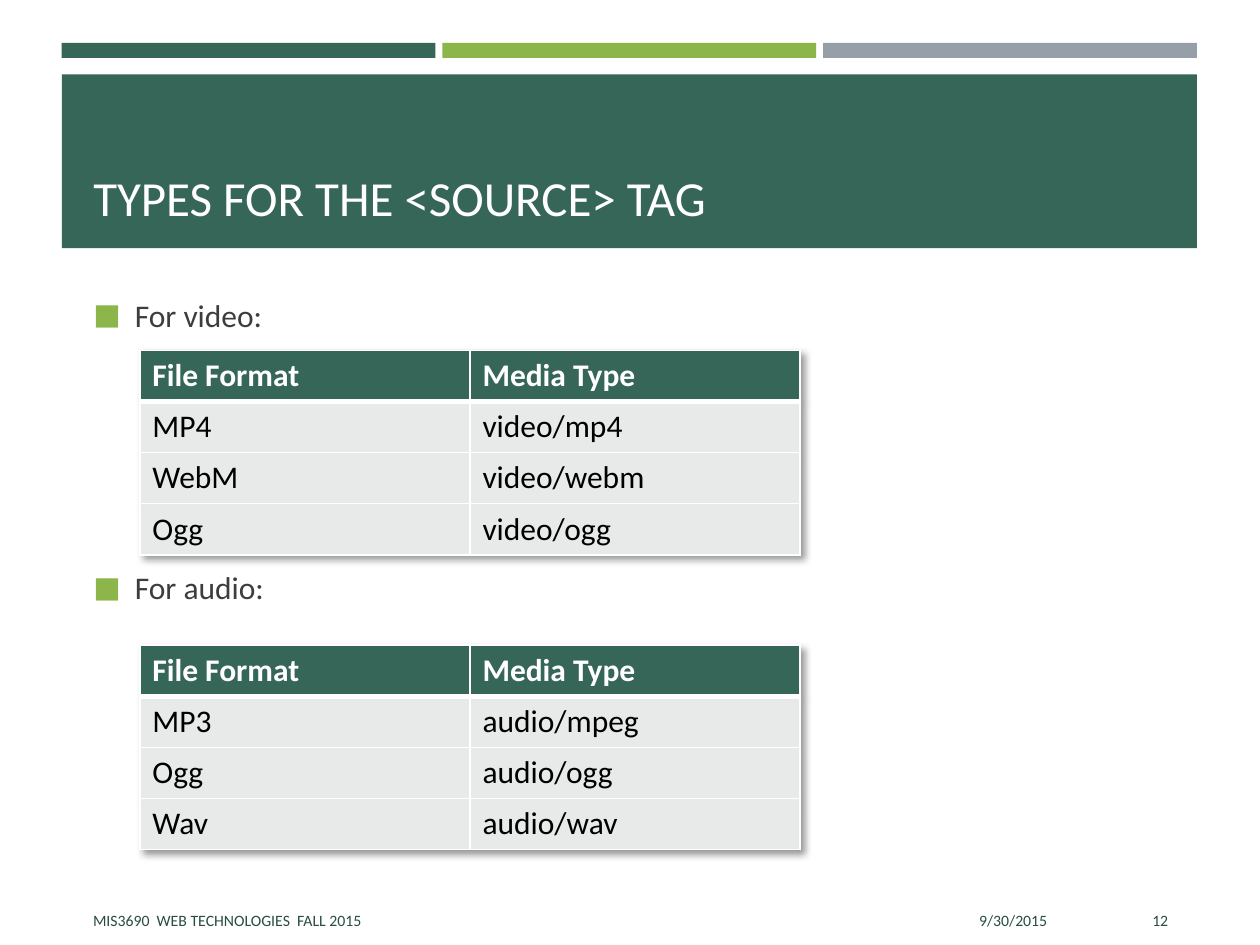
from lxml import etree
from pptx import Presentation, util as u
from pptx.dml.color import RGBColor
from pptx.enum import shapes, text
from pptx.oxml import parse_xml
from pptx.oxml.ns import nsdecls, qn

GREEN = RGBColor(0x36, 0x66, 0x58)
LIME = RGBColor(0x8C, 0xB6, 0x4A)
GRAY = RGBColor(0x96, 0x9F, 0xA7)
PALE = RGBColor(0xE8, 0xEA, 0xEA)
WHITE = RGBColor(0xFF, 0xFF, 0xFF)
BLACK = RGBColor(0, 0, 0)
BODY = RGBColor(0x3D, 0x3D, 0x3D)
FOOTER = RGBColor(0x28, 0x4D, 0x42)


class Deck:
    font = "Calibri"
    columns, rows = 100, 75

    def __init__(self):
        self.prs = Presentation()
        self.prs.slide_width, self.prs.slide_height = u.Inches(10), u.Inches(7.5)
        self.s = self.prs.slides.add_slide(self.prs.slide_layouts[1])

    def box(self, x, y, w, h):
        cw = self.prs.slide_width / self.columns
        rh = self.prs.slide_height / self.rows
        return [u.Emu(round(v)) for v in (x * cw, y * rh, w * cw, h * rh)]

    def place(self, sp, at):
        sp.left, sp.top, sp.width, sp.height = self.box(*at)

    def style(self, p, size, color, bold=False):
        for r in p.runs:
            r.font.name, r.font.size, r.font.bold = self.font, u.Pt(size), bold
            r.font.color.rgb = color

    def bar(self, at, color):
        sp = self.s.shapes.add_shape(shapes.MSO_SHAPE.RECTANGLE, *self.box(*at))
        sp.shadow.inherit = False
        sp.fill.solid()
        sp.fill.fore_color.rgb = color
        sp.line.fill.background()
        sp.element.getparent().insert(2, sp.element)

    def title(self, at, words):
        sp = self.s.shapes.title
        self.place(sp, at)
        tf = sp.text_frame
        tf.text = words
        tf.auto_size = text.MSO_AUTO_SIZE.NONE
        tf.vertical_anchor = text.MSO_ANCHOR.BOTTOM
        tf.paragraphs[0].alignment = text.PP_ALIGN.LEFT
        self.style(tf.paragraphs[0], 28, WHITE)

    def bullets(self, at, lines, gap):
        sp = self.s.placeholders[1]
        self.place(sp, at)
        tf = sp.text_frame
        tf.text = "\n".join(lines)
        tf.auto_size = text.MSO_AUTO_SIZE.NONE
        for i, p in enumerate(tf.paragraphs):
            p.space_before, p.space_after = u.Pt(gap if i else 0), u.Pt(6)
            self.style(p, 18, BODY)
            pPr = p._p.get_or_add_pPr()
            pPr.set("marL", str(u.Inches(0.33)))
            pPr.set("indent", str(-u.Inches(0.33)))
            color = etree.SubElement(pPr, qn("a:buClr"))
            etree.SubElement(color, qn("a:srgbClr"), val=str(LIME))
            etree.SubElement(pPr, qn("a:buSzPct"), val="92000")
            etree.SubElement(pPr, qn("a:buFont"), typeface=self.font)
            etree.SubElement(pPr, qn("a:buChar"), char="■")

    def label(self, at, words, align):
        tf = self.s.shapes.add_textbox(*self.box(*at)).text_frame
        tf.word_wrap = True
        tf.vertical_anchor = text.MSO_ANCHOR.MIDDLE
        tf.text = words
        tf.paragraphs[0].alignment = align
        self.style(tf.paragraphs[0], 9, FOOTER)

    def borders(self, cell, top, bottom):
        tcPr = cell._tc.get_or_add_tcPr()
        for side, width in (("L", 1), ("R", 1), ("T", top), ("B", bottom)):
            ln = etree.SubElement(tcPr, qn("a:ln" + side), w=str(u.Pt(width)))
            fill = etree.SubElement(ln, qn("a:solidFill"))
            etree.SubElement(fill, qn("a:srgbClr"), val=str(WHITE))

    def table(self, at, data):
        shape = self.s.shapes.add_table(len(data), len(data[0]), *self.box(*at))
        table = shape.table
        table._tbl.tblPr.insert(0, parse_xml(
            f'<a:effectLst {nsdecls("a")}><a:outerShdw blurRad="50800" dist="38100" '
            'dir="2700000" algn="tl" rotWithShape="0"><a:prstClr val="black">'
            '<a:alpha val="40000"/></a:prstClr></a:outerShdw></a:effectLst>'))
        for i, row in enumerate(data):
            header = i == 0
            for j, words in enumerate(row):
                cell = table.cell(i, j)
                cell.text = words
                cell.vertical_anchor = text.MSO_ANCHOR.MIDDLE
                self.borders(cell, 3 if i == 1 else 1, 3 if header else 1)
                cell.fill.solid()
                cell.fill.fore_color.rgb = GREEN if header else PALE
                self.style(cell.text_frame.paragraphs[0], 18,
                           WHITE if header else BLACK, header)


def main():
    d = Deck()
    for i, color in enumerate((GREEN, LIME, GRAY)):
        d.bar((4.9 + i * 30.22, 3.4, 29.66, 1.2), color)
    d.bar((4.9, 5.9, 90.1, 13.8), GREEN)
    d.title((6.4, 6.7, 87.4, 11.8), "TYPES FOR THE <SOURCE> TAG")
    d.bullets((6.4, 23, 87.4, 46.2), ["For video:", "For audio:"], gap=128)

    head = ("File Format", "Media Type")
    video = [head, ("MP4", "video/mp4"), ("WebM", "video/webm"), ("Ogg", "video/ogg")]
    audio = [head, ("MP3", "audio/mpeg"), ("Ogg", "audio/ogg"), ("Wav", "audio/wav")]
    for y, data in ((51.2, audio), (27.8, video)):
        d.table((11.1, y, 52.4, 16.25), data)

    left, right = text.PP_ALIGN.LEFT, text.PP_ALIGN.RIGHT
    for x, w, words, align in (
        (60.8, 23.3, "9/30/2015", right),
        (6.4, 53.3, "MIS3690  WEB TECHNOLOGIES  FALL 2015", left),
        (85.3, 8.4, "12", right),
    ):
        d.label((x, 71, w, 4), words, align)
    d.prs.save("out.pptx")


if __name__ == "__main__":
    main()
